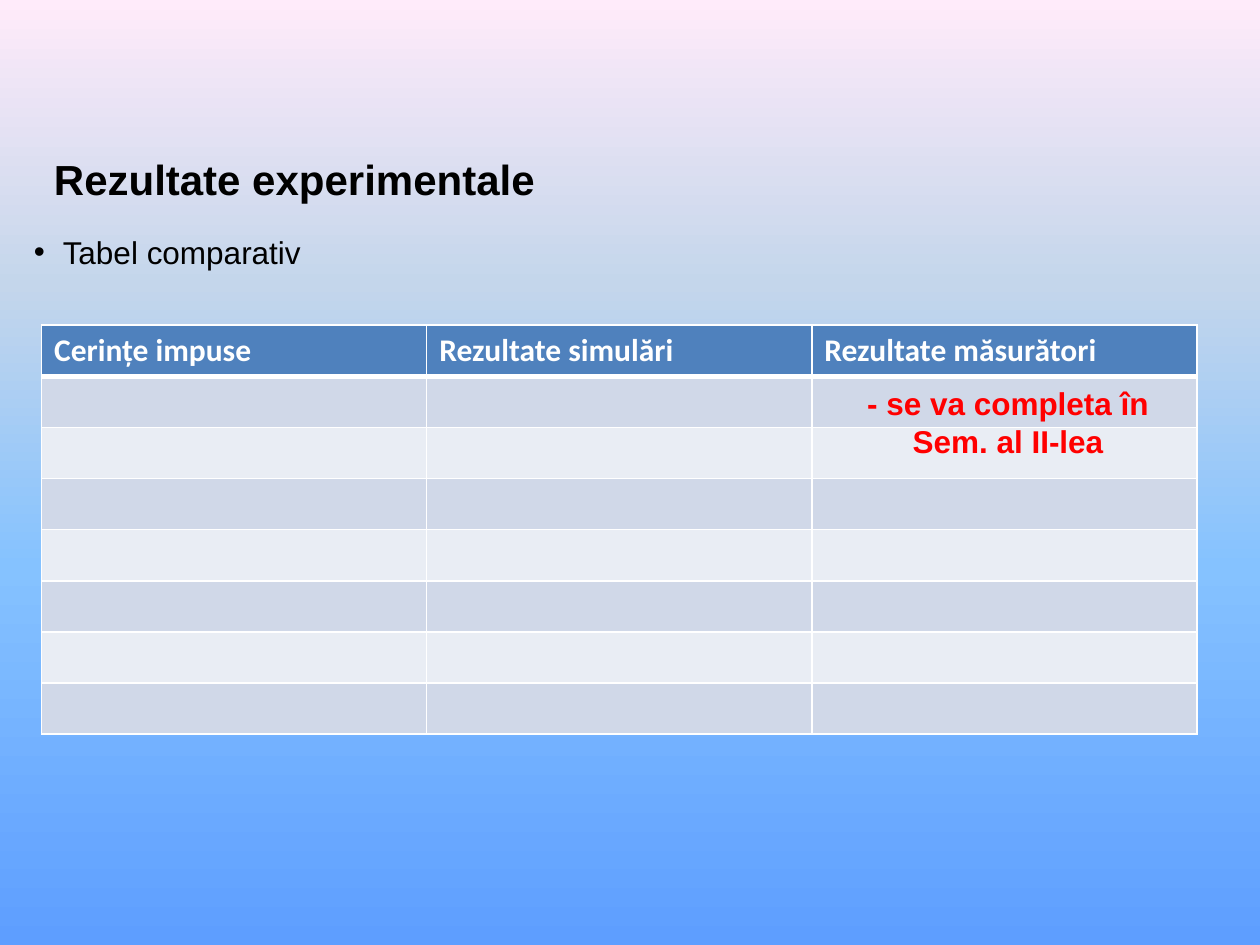
from dataclasses import dataclass

from lxml.etree import SubElement as Sub
from pptx import Presentation
from pptx.dml.color import RGBColor as RGB
from pptx.enum.text import MSO_ANCHOR as Anchor, PP_ALIGN as Align
from pptx.oxml.ns import qn
from pptx.util import Inches, Pt


@dataclass(frozen=True)
class Theme:
    sky: tuple = ((0, "5E9EFF"), (40, "85C2FF"), (70, "C4D6EB"), (100, "FFEBFA"))
    ink: str = "000000"
    alert: str = "FF0000"
    line: str = "FFFFFF"
    head: str = "4F81BD"
    bands: tuple = ("D0D8E8", "E9EDF4")
    font: str = "Arial"
    grid: str = "Calibri"
    big: int = 24
    body: int = 18


@dataclass(frozen=True)
class Box:
    left: float
    top: float
    width: float
    height: float

    def place(self) -> tuple:
        return tuple(map(Inches, (self.left, self.top, self.width, self.height)))


THEME = Theme()
HEADS = ("Cerințe impuse", "Rezultate simulări", "Rezultate măsurători")
ROWS = 8


def write(frame, text: str, *, size=THEME.body, color=THEME.ink, font=THEME.font,
          bold=False, align=Align.LEFT):
    para = frame.paragraphs[0]
    para.alignment = align
    run = para.add_run()
    run.text = text
    run.font.size = Pt(size)
    run.font.name = font
    run.font.bold = bold
    run.font.color.rgb = RGB.from_string(color)
    return para


def add_text(slide, box: Box, text: str, anchor=Anchor.MIDDLE, **style):
    frame = slide.shapes.add_textbox(*box.place()).text_frame
    frame.word_wrap = True
    frame.vertical_anchor = anchor
    return write(frame, text, **style)


def add_bullet(para, indent: float) -> None:
    props = para._p.get_or_add_pPr()
    props.set("marL", str(Inches(indent)))
    props.set("indent", str(-Inches(indent)))
    Sub(props, qn("a:buFont"), typeface=THEME.font)
    Sub(props, qn("a:buChar"), char="•")


def add_stop(parent, tag: str, color: str, **attrs: str) -> None:
    """Add an element that holds one solid colour."""
    Sub(Sub(parent, qn(tag), **attrs), qn("a:srgbClr"), val=color)


def paint_sky(slide) -> None:
    fill = slide.background.fill
    fill.gradient()
    fill.gradient_angle = 90
    stops = slide.element.find(".//" + qn("a:gsLst"))
    for old in list(stops):
        stops.remove(old)
    for pos, color in THEME.sky:
        add_stop(stops, "a:gs", color, pos=str(pos * 1000))


def style_cell(cell, fill: str, top: int, bottom: int) -> None:
    """Set the fill and the borders, with top and bottom widths in points."""
    props = cell._tc.get_or_add_tcPr()
    for side, width in (("L", 1), ("R", 1), ("T", top), ("B", bottom)):
        edge = Sub(props, qn(f"a:ln{side}"), w=str(Pt(width)))
        add_stop(edge, "a:solidFill", THEME.line)
    cell.fill.solid()
    cell.fill.fore_color.rgb = RGB.from_string(fill)


def add_grid(slide, box: Box) -> None:
    table = slide.shapes.add_table(ROWS, len(HEADS), *box.place()).table
    for row in range(ROWS):
        fill = THEME.bands[(row - 1) % 2] if row else THEME.head
        top, bottom = 3 if row == 1 else 1, 1 if row else 3
        for col, head in enumerate(HEADS):
            cell = table.cell(row, col)
            style_cell(cell, fill, top, bottom)
            if row == 0:
                write(cell.text_frame, head, color=THEME.line,
                      font=THEME.grid, bold=True)


def main() -> None:
    deck = Presentation()
    deck.slide_width, deck.slide_height = Inches(10), Inches(7.5)
    slide = deck.slides.add_slide(deck.slide_layouts[6])
    paint_sky(slide)
    add_text(slide, Box(0.33, 1.17, 8.5, 0.5), "Rezultate experimentale",
             size=THEME.big, bold=True)
    item = add_text(slide, Box(0.17, 1.75, 9.33, 0.5), "Tabel comparativ",
                    align=Align.JUSTIFY)
    add_bullet(item, 0.23)
    add_grid(slide, Box(0.33, 2.58, 9.17, 3.25))
    add_text(slide, Box(6.5, 3, 3, 0.71), "- se va completa în Sem. al II-lea",
             anchor=Anchor.TOP, color=THEME.alert, bold=True, align=Align.CENTER)
    deck.save("out.pptx")


if __name__ == "__main__":
    main()
